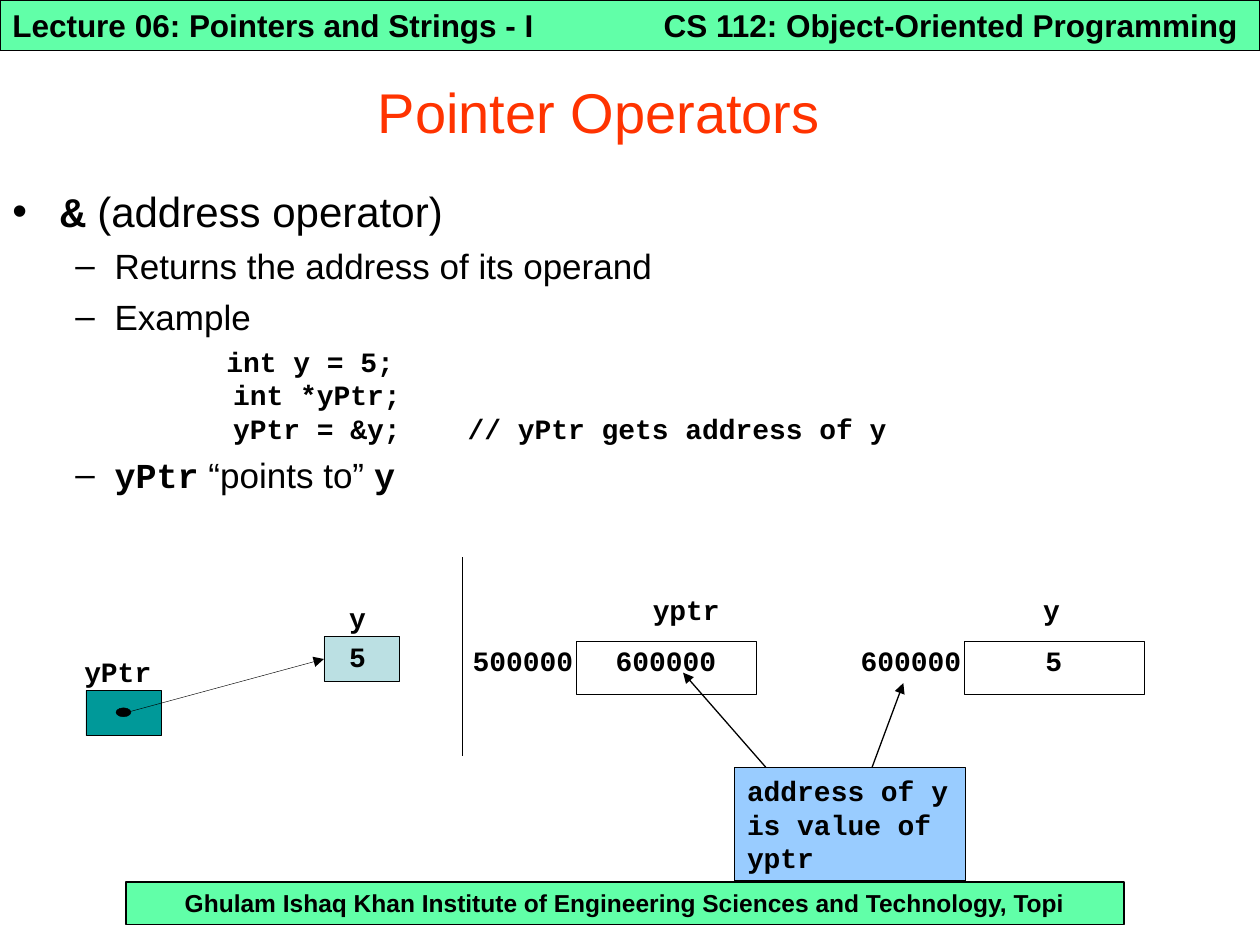
from lxml.etree import SubElement
from pptx import Presentation
from pptx.dml.color import RGBColor
from pptx.enum.shapes import MSO_CONNECTOR as Connector, MSO_SHAPE as Shape
from pptx.enum.text import MSO_ANCHOR as Anchor, PP_ALIGN as Align
from pptx.oxml.ns import qn
from pptx.util import Cm, Pt

COLORS = {
    "black": "000000", "banner": "61FFA8", "title": "FF3300", "pointer": "009999",
    "variable": "BBE0E3", "callout": "99CCFF",
}
SANS, MONO = "Arial", "Courier New"
PADDING = (0.25, 0.13)


def rgb(name):
    return RGBColor.from_string(COLORS[name])


class SlideBuilder:
    def __init__(self, slide):
        self.slide = slide

    def style(self, font, size, name=None, bold=None, color="black"):
        font.size = Pt(size)
        font.color.rgb = rgb(color)
        if name:
            font.name, font.bold = name, bold

    def frame(self, shape, padding=PADDING, anchor=Anchor.TOP, wrap=True):
        frame = shape.text_frame
        frame.word_wrap = wrap
        frame.vertical_anchor = anchor
        frame.margin_left = frame.margin_right = Cm(padding[0])
        frame.margin_top = frame.margin_bottom = Cm(padding[1])
        return frame

    def caption(self, shape, text, size, name=SANS, bold=True, color="black",
                align=Align.LEFT, spacing=None, **layout):
        paragraph = self.frame(shape, **layout).paragraphs[0]
        paragraph.text = text
        paragraph.alignment = align
        paragraph.line_spacing = spacing
        self.style(paragraph.font, size, name, bold, color)

    def text(self, x, y, w, h, *content, **options):
        box = self.slide.shapes.add_textbox(Cm(x), Cm(y), Cm(w), Cm(h))
        self.caption(box, *content, **options)

    def label(self, x, y, w, h, text, spacing, align=Align.LEFT):
        self.text(x, y, w, h, text, 16, MONO, align=align, spacing=spacing,
                  padding=(0, 0))

    def box(self, x, y, w, h, fill=None, line=0.25, kind=Shape.RECTANGLE):
        shape = self.slide.shapes.add_shape(kind, Cm(x), Cm(y), Cm(w), Cm(h))
        shape.shadow.inherit = False
        if fill:
            shape.fill.solid()
            shape.fill.fore_color.rgb = rgb(fill)
        else:
            shape.fill.background()
        shape.line.color.rgb = rgb("black")
        shape.line.width = Pt(line)
        return shape

    def line(self, x1, y1, x2, y2, width=0.75, arrow=True):
        connector = self.slide.shapes.add_connector(
            Connector.STRAIGHT, Cm(x1), Cm(y1), Cm(x2), Cm(y2))
        connector.line.color.rgb = rgb("black")
        connector.line.width = Pt(width)
        properties = connector._element.spPr
        if arrow:
            SubElement(properties.get_or_add_ln(), qn("a:tailEnd"), type="triangle")
        SubElement(properties, qn("a:effectLst"))
        return connector

    def outline(self, x, y, w, h, items):
        frame = self.frame(self.slide.shapes.add_textbox(Cm(x), Cm(y), Cm(w), Cm(h)))
        for i, (level, bullet, margin, indent, before, size, runs) in enumerate(items):
            paragraph = frame.add_paragraph() if i else frame.paragraphs[0]
            paragraph.level = level
            paragraph.space_before = Pt(before)
            properties = paragraph._p.get_or_add_pPr()
            properties.set("marL", str(Cm(margin)))
            properties.set("indent", str(Cm(indent)))
            if bullet:
                SubElement(properties, qn("a:buFont"), typeface=SANS)
                SubElement(properties, qn("a:buChar"), char=bullet)
            else:
                SubElement(properties, qn("a:buNone"))
            if len(runs) == 1:
                text, name = runs[0]
                paragraph.text = text
                self.style(paragraph.font, size, name, name == MONO)
                continue
            self.style(paragraph.font, size)
            for text, name in runs:
                run = paragraph.add_run()
                run.text = text
                run.font.name, run.font.bold = name, name == MONO

    def memory_cell(self, x, address, name, value, name_x):
        width = 3.63
        self.label(x - 2.08, 13.11, 2.08, 0.81, address, 0.8)
        self.box(x, 12.93, width, 1.06)
        self.label(name_x, 12.07, 1.42, 0.81, name, 0.8)
        self.label(x, 13.11, width, 0.81, value, 0.8, Align.CENTER)


def main():
    presentation = Presentation()
    presentation.slide_width, presentation.slide_height = Cm(25.4), Cm(19.05)
    page = SlideBuilder(presentation.slides.add_slide(presentation.slide_layouts[6]))

    footer = page.box(2.54, 17.78, 20.12, 0.86, "banner", 0.75)
    page.caption(footer, "Ghulam Ishaq Khan Institute of Engineering Sciences and Technology, Topi",
                 14, align=Align.CENTER)
    header = page.box(0, 0, 25.4, 1.02, "banner", 0.75)
    page.caption(header, "Lecture 06: Pointers and Strings - I", 18)
    page.text(13.13, 0, 12.27, 1.02, "CS 112: Object-Oriented Programming", 18)
    page.text(0, 1.07, 24.15, 2.34, "Pointer Operators", 32, bold=False, color="title",
              align=Align.CENTER, anchor=Anchor.MIDDLE)

    dash = (1, "–", 2.06, -0.79, 5, 20)
    code = "  int y = 5;\vint *yPtr;\vyPtr = &y;    // yPtr gets address of y"
    page.outline(0, 3.61, 25.4, 14.17, [
        (0, "•", 0.97, -0.97, 0, 24, [("&", MONO), (" (address operator)", SANS)]),
        (*dash, [("Returns the address of its operand", SANS)]),
        (*dash, [("Example", SANS)]),
        (3, None, 4.45, -0.81, 4, 16, [(code, MONO)]),
        (*dash, [("yPtr", MONO), (" “points to” ", SANS), ("y", MONO)]),
    ])

    page.box(1.73, 13.92, 1.52, 0.91, "pointer")
    variable = page.box(6.53, 12.83, 1.52, 0.91, "variable")
    page.line(2.49, 14.38, 6.53, 13.28, 0.25).end_connect(variable, 1)
    page.box(2.34, 14.27, 0.3, 0.18, "black", kind=Shape.OVAL)
    for x, y, text in [(1.7, 13.36, "yPtr"), (7.04, 12.29, "y"), (7.04, 13.06, "5")]:
        page.label(x, y, 1.6, 0.53, text, 0.72)

    page.memory_cell(11.61, "500000", "yptr", "600000", 13.16)
    page.memory_cell(19.43, "600000", "y", "5", 21.03)
    page.line(9.32, 11.23, 9.32, 15.24, arrow=False)

    callout = page.box(14.81, 15.47, 4.65, 2.29, "callout", 0.75)
    page.caption(callout, "address of y is value of yptr", 16, MONO)
    page.line(17.58, 15.47, 18.21, 13.77)
    page.line(15.44, 15.47, 13.77, 13.56)

    presentation.save("out.pptx")


if __name__ == "__main__":
    main()
